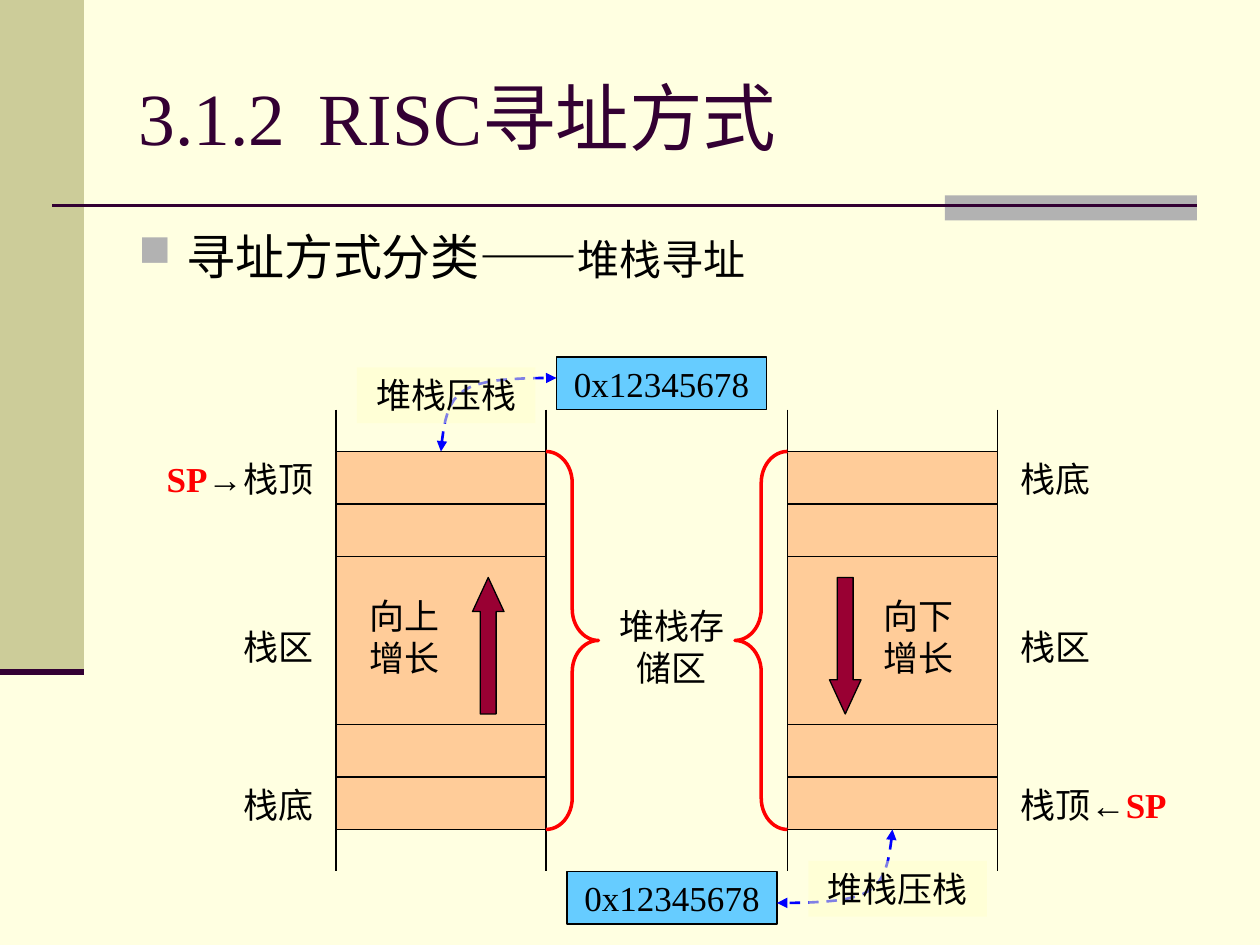
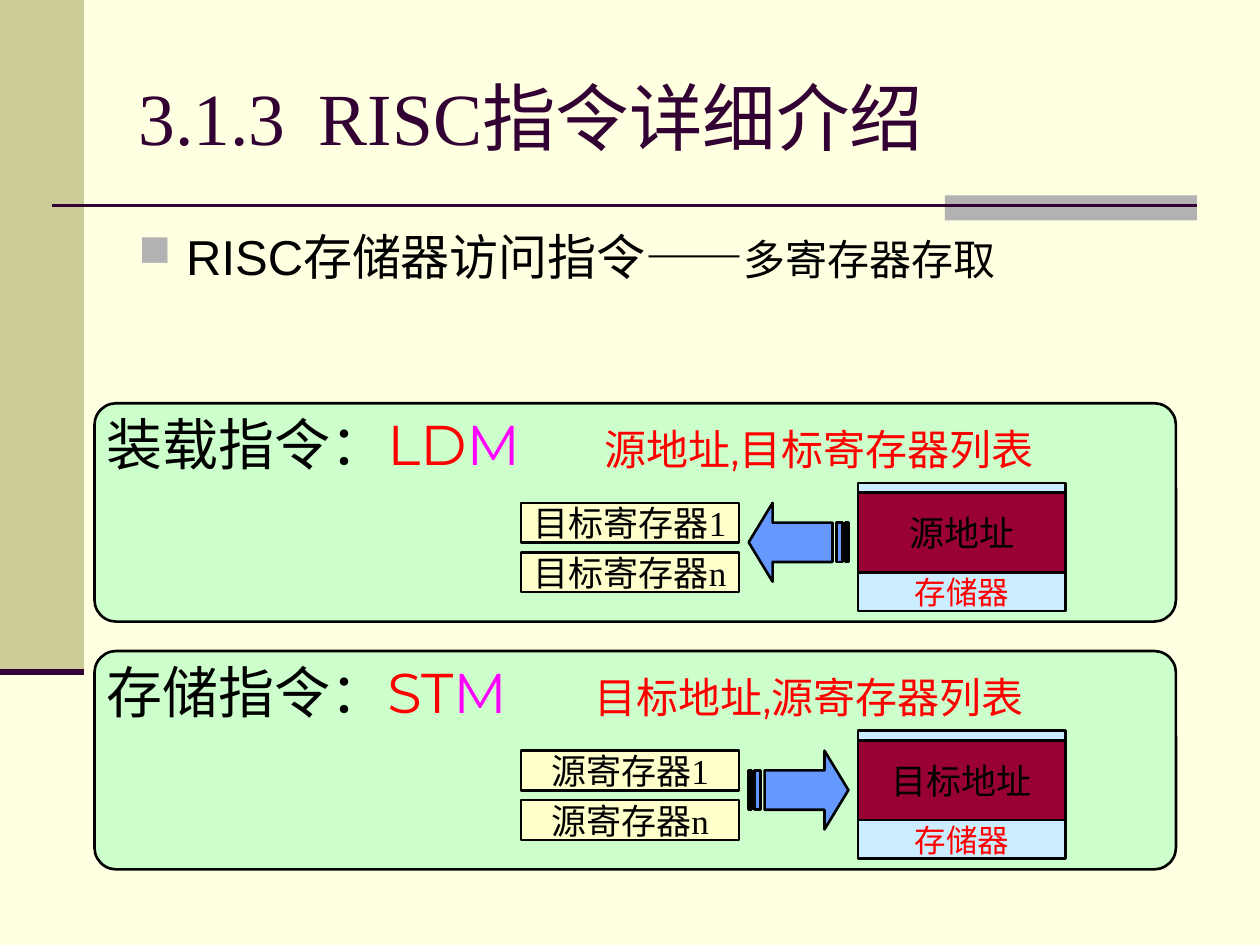
from dataclasses import dataclass
from itertools import accumulate

from lxml.etree import SubElement
from pptx import Presentation
from pptx.dml.color import RGBColor as Rgb
from pptx.enum.dml import MSO_LINE as Dash
from pptx.enum.shapes import MSO_CONNECTOR as Link, MSO_SHAPE as Kind
from pptx.enum.text import MSO_ANCHOR as Anchor, MSO_AUTO_SIZE as Fit, PP_ALIGN as Align
from pptx.oxml.ns import qn
from pptx.util import Inches, Pt


class Theme:
    paper, rail, bar, plum = "FFFFE1", "CCCC99", "B2B2B2", "330033"
    ink, red, pink, blue = "000000", "FF0000", "FF00FF", "0000FF"
    cell, wine, value, tag = "FFCC99", "990033", "66CCFF", "FFFFCC"
    panel, store, arrow = "CCFFCC", "CCECFF", "6699FF"
    serif, sans, geo = "Times New Roman", "Arial", "Montserrat"
    title, code, head, sub, text, small = 42, 32, 28, 24, 20, 18
    thin, mid, bold, foot = 0.75, 1.5, 2, 3.5


COLS, ROWS = 120, 90
UNIT = Inches(10) // COLS


@dataclass
class Box:
    """An area of the slide, in columns and rows."""
    x: float
    y: float
    w: float
    h: float

    def inner(self, dx, dy, w, h):
        return Box(self.x + dx, self.y + dy, w, h)

    def point(self, u, v):
        return round((self.x + u * self.w) * UNIT), round((self.y + v * self.h) * UNIT)

    def emu(self):
        return [round(n * UNIT) for n in (self.x, self.y, self.w, self.h)]


# Basic drawing helpers
def child(node, tag, **attrs):
    return SubElement(node, qn(tag), attrs)


def stroke(line, color, width):
    line.color.rgb = Rgb.from_string(color)
    line.width = Pt(width)


def paint(shape, fill=None, line=None, width=Theme.thin):
    shape.shadow.inherit = False
    if fill:
        shape.fill.solid()
        shape.fill.fore_color.rgb = Rgb.from_string(fill)
    else:
        shape.fill.background()
    if line:
        stroke(shape.line, line, width)
    else:
        shape.line.fill.background()
    return shape


def draw(slide, kind, box, fill=None, line=None, width=Theme.thin, adj=()):
    shape = slide.shapes.add_shape(kind, *box.emu())
    for i, share in enumerate(adj):
        shape.adjustments[i] = share
    return paint(shape, fill, line, width)


def rule(slide, box, color, width):
    link = slide.shapes.add_connector(
        Link.STRAIGHT, *box.point(0, 0), *box.point(1, 1))
    stroke(link.line, color, width)
    child(link.element.spPr, "a:effectLst")


def trace(slide, box, *loops, close=True):
    pen = slide.shapes.build_freeform(*box.point(*loops[0][0]))
    for i, loop in enumerate(loops):
        if i:
            pen.move_to(*box.point(*loop[0]))
        pen.add_line_segments([box.point(*p) for p in loop[1:]], close=close)
    return pen.convert_to_shape()


def run(text, size=Theme.text, font=Theme.serif, color=Theme.ink, bold=False):
    return text, size, font, color, bold


def write(shape, *runs, align=Align.CENTER, anchor=Anchor.TOP, wrap=True):
    frame = shape.text_frame
    frame.auto_size = Fit.NONE
    frame.word_wrap = wrap
    frame.vertical_anchor = anchor
    para = frame.paragraphs[0]
    para.alignment = align
    for text, size, font, color, bold in runs:
        bit = para.add_run()
        bit.text = text
        bit.font.size, bit.font.name, bit.font.bold = Pt(size), font, bold
        bit.font.color.rgb = Rgb.from_string(color)
    return para


def label(slide, box, *runs, align=Align.CENTER):
    return write(slide.shapes.add_textbox(*box.emu()), *runs, align=align)


def plate(slide, box, text, fill, width=Theme.mid):
    shape = draw(slide, Kind.RECTANGLE, box, fill, Theme.ink, width)
    write(shape, run(text), anchor=Anchor.MIDDLE, wrap=False)


def stop(para, pos):
    tabs = child(para._p.get_or_add_pPr(), "a:tabLst")
    child(tabs, "a:tab", pos=str(Inches(pos)), algn="l")


# Shared frame: rail, rules, title and bullet heading
def page(prs, title, head, sub):
    slide = prs.slides.add_slide(prs.slide_layouts[5])
    rail = Box(0, 0, 8, 64)
    draw(slide, Kind.RECTANGLE, rail, Theme.rail)
    draw(slide, Kind.RECTANGLE, Box(90, 18.6, 24, 2.4), Theme.bar)
    rule(slide, Box(5, 19.6, 109, 0), Theme.plum, Theme.mid)
    rule(slide, rail.inner(0, rail.h, rail.w, 0), Theme.plum, Theme.foot)

    name = slide.shapes.title
    name.left, name.top, name.width, name.height = Box(12, 3.6, 102, 15).emu()
    para = write(name, run(title, Theme.title, color=Theme.plum),
                 align=Align.LEFT, anchor=Anchor.MIDDLE)
    stop(para, 1.43)

    para = label(slide, Box(12, 21, 102, 10),
                 run(head + "——", Theme.head, Theme.sans),
                 run(sub, Theme.sub, Theme.sans), align=Align.LEFT)
    props = para._p.get_or_add_pPr()
    props.set("marL", str(Inches(0.38)))
    props.set("indent", str(-Inches(0.38)))
    child(child(props, "a:buClr"), "a:srgbClr", val=Theme.bar)
    child(props, "a:buSzPct", val="90000")
    child(props, "a:buChar", char="■")
    return slide


# Dashed push path, bent from lower left to upper right
def push(slide, box, turn):
    ctrl = (0, 1), (0.05, 0.12), (0.15, 0), (1, 0)
    dots = []
    for t in (i / 16 for i in range(17)):
        mix = (1 - t) ** 3, 3 * t * (1 - t) ** 2, 3 * t * t * (1 - t), t ** 3
        u, v = (sum(m * c[k] for m, c in zip(mix, ctrl)) for k in (0, 1))
        dots.append((1 - u, 1 - v) if turn else (u, v))
    curve = paint(trace(slide, box, dots, close=False),
                  line=Theme.blue, width=Theme.mid)
    curve.line.dash_style = Dash.DASH
    ln = curve.element.spPr.find(qn("a:ln"))
    for end in ("a:headEnd", "a:tailEnd"):
        child(ln, end, type="triangle")


# One memory stack with its labels, brace and pushed value
def stack(slide, box, up):
    for x in (0, box.w):
        rule(slide, box.inner(x, 0, 0, box.h), Theme.ink, Theme.thin)
    sizes = (5, 5, 16, 5, 5)
    for y, h in zip(accumulate(sizes, initial=4), sizes):
        draw(slide, Kind.RECTANGLE, box.inner(0, y, box.w, h), Theme.cell, Theme.ink)

    names = ("栈顶", "栈区", "栈底")
    side = -11 if up else box.w
    for y, name in zip((4, 20, 35), names if up else names[::-1]):
        label(slide, box.inner(side, y, 11, 5.3), run(name))
    mark = [run("SP", color=Theme.red, bold=True),
            run("→" if up else "←", font=Theme.sans)]
    label(slide, box.inner(-18 if up else 27, 4 if up else 35, 11, 5.3),
          *(mark if up else mark[::-1]))

    label(slide, box.inner(1 if up else 7, 17, 11, 9.2),
          run("向上增长" if up else "向下增长"))
    draw(slide, Kind.UP_ARROW if up else Kind.DOWN_ARROW,
         box.inner(13 if up else 4, 16, 3, 13), Theme.wine, Theme.ink, adj=(0.5, 1.083))
    draw(slide, Kind.RIGHT_BRACE if up else Kind.LEFT_BRACE,
         box.inner(20 if up else -5, 4, 5, 36),
         line=Theme.red, width=Theme.bold, adj=(0.6, 0.5))

    plate(slide, box.inner(*((21, -5) if up else (-21, 44)), 20, 5),
          "0x12345678", Theme.value, Theme.thin)
    push(slide, box.inner(*((10, -3) if up else (-1, 40)), 11, 7), not up)
    tag = draw(slide, Kind.RECTANGLE,
               box.inner(2, -4 if up else 43, 17, 5.3), Theme.tag)
    child(tag.element.spPr.find(".//" + qn("a:srgbClr")), "a:alpha", val="50000")
    write(tag, run("堆栈压栈"))


# Striped block arrow
def flow(slide, box, left):
    head = [(0.76, 0), (0.76, 0.25), (0.16, 0.25), (0.16, 0.75),
            (0.76, 0.75), (0.76, 1), (1, 0.5)]
    bars = [[(a, 0.25), (a, 0.75), (b, 0.75), (b, 0.25)]
            for a, b in ((0.06, 0.12), (0, 0.03))]
    loops = [[(1 - u if left else u, v) for u, v in loop] for loop in (head, *bars)]
    paint(trace(slide, box, *loops), Theme.arrow, Theme.ink, Theme.mid)


# One instruction panel: syntax line, registers, arrow and memory
def order(slide, box, kind, code, args, gap, regs, core, load):
    draw(slide, Kind.ROUNDED_RECTANGLE, box, Theme.panel, Theme.ink,
         Theme.mid, adj=(0.1,))
    para = label(slide, box.inner(0, 0, 98, 7.7),
                 run(kind, Theme.code),
                 run(code, Theme.code, Theme.geo, Theme.red),
                 run("M\t", Theme.code, Theme.geo, Theme.pink),
                 run(args, Theme.sub, Theme.geo, Theme.red), align=Align.LEFT)
    stop(para, gap)

    store = box.inner(72.7, 7.6, 19.8, 12.2)
    shape = draw(slide, Kind.RECTANGLE, store, Theme.store, Theme.ink, Theme.mid)
    shape.text_frame.margin_bottom = 0
    write(shape, run("存储器", Theme.small, color=Theme.red),
          anchor=Anchor.BOTTOM, wrap=False)
    plate(slide, store.inner(0, 0.9, store.w, 7.6), core, Theme.wine)
    for i, end in enumerate("1n"):
        plate(slide, box.inner(40.6, 9.5 + 4.7 * i, 20.8, 3.8), regs + end, Theme.tag)
    flow(slide, box.inner(62.3, 9.5, 9.5, 7.5), load)


# Slides
def modes(prs):
    slide = page(prs, "3.1.2\tRISC寻址方式", "寻址方式分类", "堆栈寻址")
    label(slide, Box(57, 57, 14, 9.2), run("堆栈存储区"))
    for x, up in ((75, False), (32, True)):
        stack(slide, Box(x, 39, 20, 44), up)


def orders(prs):
    slide = page(prs, "3.1.3\tRISC指令详细介绍", "RISC存储器访问指令", "多寄存器存取")
    rows = (("装载指令：", "LD", "源地址,目标寄存器列表", 3.95, "目标寄存器", "源地址", True),
            ("存储指令：", "ST", "目标地址,源寄存器列表", 3.87, "源寄存器", "目标地址", False))
    for i, row in enumerate(rows):
        order(slide, Box(9, 38.4 + 23.6 * i, 103, 20.8), *row)


def main():
    prs = Presentation()
    prs.slide_width, prs.slide_height = COLS * UNIT, ROWS * UNIT
    back = prs.slide_master.background.fill
    back.solid()
    back.fore_color.rgb = Rgb.from_string(Theme.paper)
    modes(prs)
    orders(prs)
    prs.save("out.pptx")


if __name__ == "__main__":
    main()
